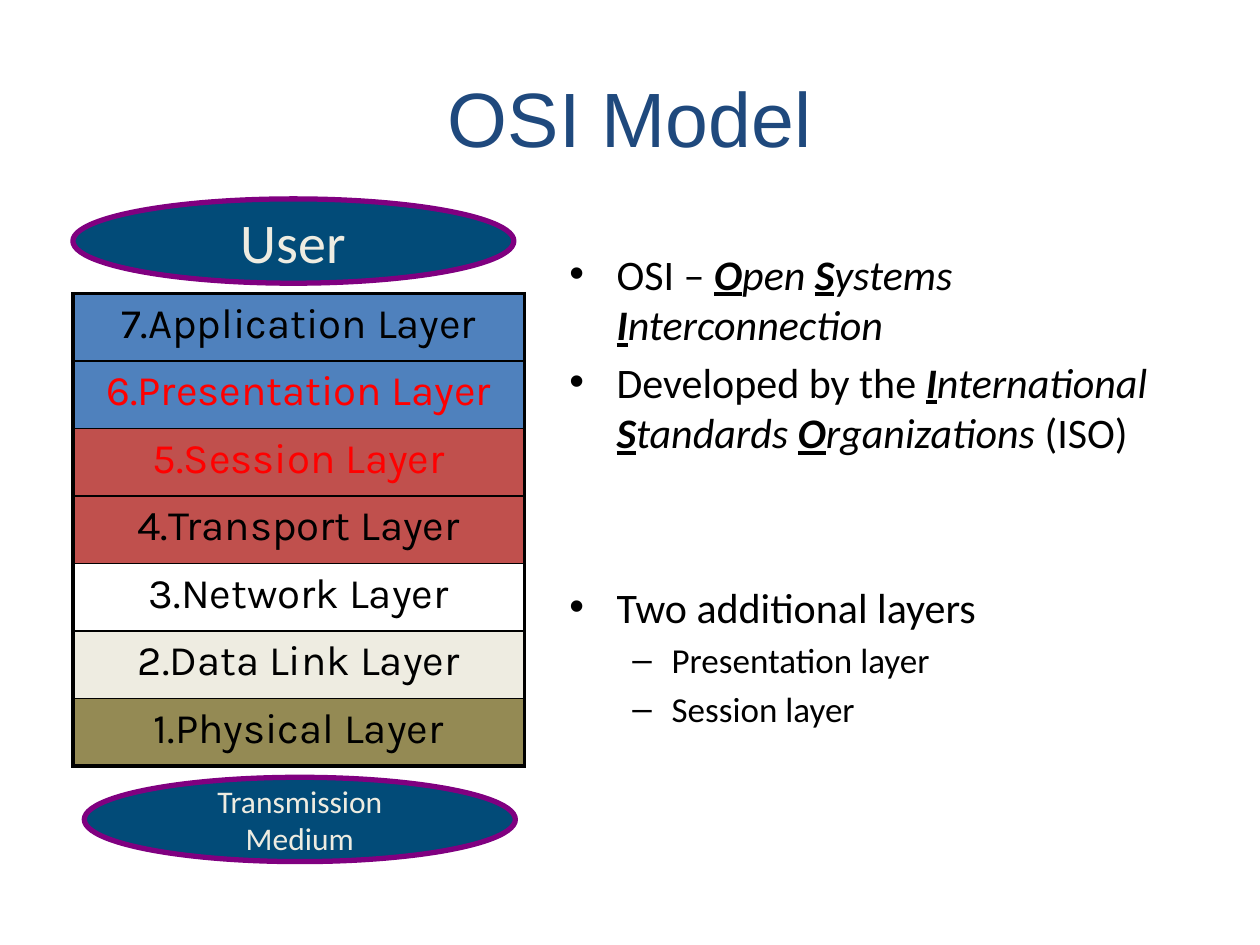
from dataclasses import dataclass

from lxml import etree
from pptx import Presentation
from pptx import util as u
from pptx.dml.color import RGBColor
from pptx.enum import shapes, text
from pptx.oxml.ns import qn


@dataclass(frozen=True)
class Theme:
    """Colours, fonts and type sizes of the slide."""
    navy: str = "1F497D"
    ink: str = "000000"
    added: str = "FF0000"
    application: str = "4F81BD"
    transport: str = "C0504D"
    network: str = "FFFFFF"
    cream: str = "EEECE1"
    physical: str = "948A54"
    ellipse: str = "024B78"
    outline: str = "800080"
    heading_font: str = "Arial"
    body_font: str = "Calibri"
    layer_font: str = "Karla"
    title_size: int = 44
    user_size: int = 32
    body_size: int = 24
    sub_size: int = 20
    medium_size: int = 18


THEME = Theme()
LAYERS = [
    ("7.Application Layer", THEME.application, THEME.ink),
    ("6.Presentation Layer", THEME.application, THEME.added),
    ("5.Session Layer", THEME.transport, THEME.added),
    ("4.Transport Layer", THEME.transport, THEME.ink),
    ("3.Network Layer", THEME.network, THEME.ink),
    ("2.Data Link Layer", THEME.cream, THEME.ink),
    ("1.Physical Layer", THEME.physical, THEME.ink),
]


def box(*lengths):
    """Turn centimetres into lengths."""
    return [u.Cm(length) for length in lengths]


def write(paragraph, words, size, font=THEME.body_font, color=THEME.ink,
          align=None, bold=None, italic=None, underline=None):
    """Append formatted words to a paragraph, breaking at newlines."""
    if align is not None:
        paragraph.alignment = align
    for number, line in enumerate(words.split("\n")):
        if number:
            paragraph.add_line_break()
        run = paragraph.add_run()
        run.text = line
        run.font.size = u.Pt(size)
        run.font.name = font
        run.font.color.rgb = RGBColor.from_string(color)
        run.font.bold, run.font.italic = bold, italic
        run.font.underline = underline


def write_acronym(paragraph, phrase, size):
    """Write an italic phrase whose initials stand out."""
    for number, word in enumerate(phrase.split()):
        if number:
            write(paragraph, " ", size, italic=True)
        write(paragraph, word[0], size, bold=True, italic=True, underline=True)
        write(paragraph, word[1:], size, italic=True)


def add_bullet(frame, mark, margin, hanging, gap):
    """Start a bulleted paragraph with a hanging indent."""
    first = frame.paragraphs[0]
    paragraph = frame.add_paragraph() if first.runs else first
    paragraph.space_before = u.Pt(gap)
    properties = paragraph._p.get_or_add_pPr()
    properties.set("marL", str(u.Cm(margin)))
    properties.set("indent", str(-u.Cm(hanging)))
    etree.SubElement(properties, qn("a:buFont"), typeface=THEME.heading_font)
    etree.SubElement(properties, qn("a:buChar"), char=mark)
    return paragraph


def add_title(slide, words):
    """Place and fill the title placeholder."""
    title = slide.shapes.title
    title.left, title.top, title.width, title.height = box(1.27, 0.76, 22.86, 3.18)
    title.text_frame.vertical_anchor = text.MSO_ANCHOR.MIDDLE
    write(title.text_frame.paragraphs[0], words, THEME.title_size,
          font=THEME.heading_font, color=THEME.navy, align=text.PP_ALIGN.CENTER)


def add_notes_on_model(slide):
    """Add the bulleted explanation of the model."""
    frame = slide.shapes.add_textbox(*box(11.23, 4.88, 13.33, 12.07)).text_frame
    frame.word_wrap = True
    size = THEME.body_size

    meaning = add_bullet(frame, "•", 0.95, 0.95, 4)
    write(meaning, "OSI – ", size)
    write_acronym(meaning, "Open Systems Interconnection", size)

    developer = add_bullet(frame, "•", 0.95, 0.95, 4)
    write(developer, "Developed by the ", size)
    write_acronym(developer, "International Standards Organizations", size)
    write(developer, " (ISO)", size)

    write(add_bullet(frame, "•", 0.95, 0.95, 71), "Two additional layers", size)
    for layer in ("Presentation layer", "Session layer"):
        bullet = add_bullet(frame, "–", 2.06, 0.79, 4)
        bullet.level = 1
        write(bullet, layer, THEME.sub_size)


def set_borders(cell, **widths):
    """Draw cell borders of the given point widths."""
    properties = cell._tc.get_or_add_tcPr()
    for side, width in widths.items():
        line = etree.SubElement(properties, qn(f"a:ln{side}"), w=str(u.Pt(width)))
        fill = etree.SubElement(line, qn("a:solidFill"))
        etree.SubElement(fill, qn("a:srgbClr"), val=THEME.ink)


def add_layer_stack(slide):
    """Add the table of the seven layers."""
    count = len(LAYERS)
    table = slide.shapes.add_table(count, 1, *box(1.47, 5.92, 9.1, 9.52)).table
    table.first_row = table.horz_banding = False
    for row, (layer, fill, color) in enumerate(LAYERS):
        cell = table.cell(row, 0)
        set_borders(cell, L=2.25, R=2.25, T=1 if row else 2.25,
                    B=1 if row < count - 1 else 2.25)
        cell.fill.solid()
        cell.fill.fore_color.rgb = RGBColor.from_string(fill)
        write(cell.text_frame.paragraphs[0], layer, THEME.body_size,
              font=THEME.layer_font, color=color, align=text.PP_ALIGN.CENTER)


def add_endpoint(slide, words, size, *place):
    """Add an ellipse at one end of the layer stack."""
    endpoint = slide.shapes.add_shape(shapes.MSO_SHAPE.OVAL, *box(*place))
    endpoint.shadow.inherit = False
    endpoint.fill.solid()
    endpoint.fill.fore_color.rgb = RGBColor.from_string(THEME.ellipse)
    endpoint.line.color.rgb = RGBColor.from_string(THEME.outline)
    endpoint.line.width = u.Pt(3)
    frame = endpoint.text_frame
    frame.word_wrap = False
    frame.vertical_anchor = text.MSO_ANCHOR.MIDDLE
    write(frame.paragraphs[0], words, size, color=THEME.cream,
          align=text.PP_ALIGN.CENTER)


def main():
    """Build and save the slide."""
    deck = Presentation()
    deck.slide_width, deck.slide_height = box(25.4, 19.05)
    slide = deck.slides.add_slide(deck.slide_layouts[5])
    add_title(slide, "OSI Model")
    add_notes_on_model(slide)
    add_layer_stack(slide)
    add_endpoint(slide, "User", THEME.user_size, 1.47, 4.01, 8.89, 1.7)
    add_endpoint(slide, "Transmission\nMedium", THEME.medium_size,
                 1.7, 15.67, 8.69, 1.7)
    deck.save("out.pptx")


if __name__ == "__main__":
    main()
